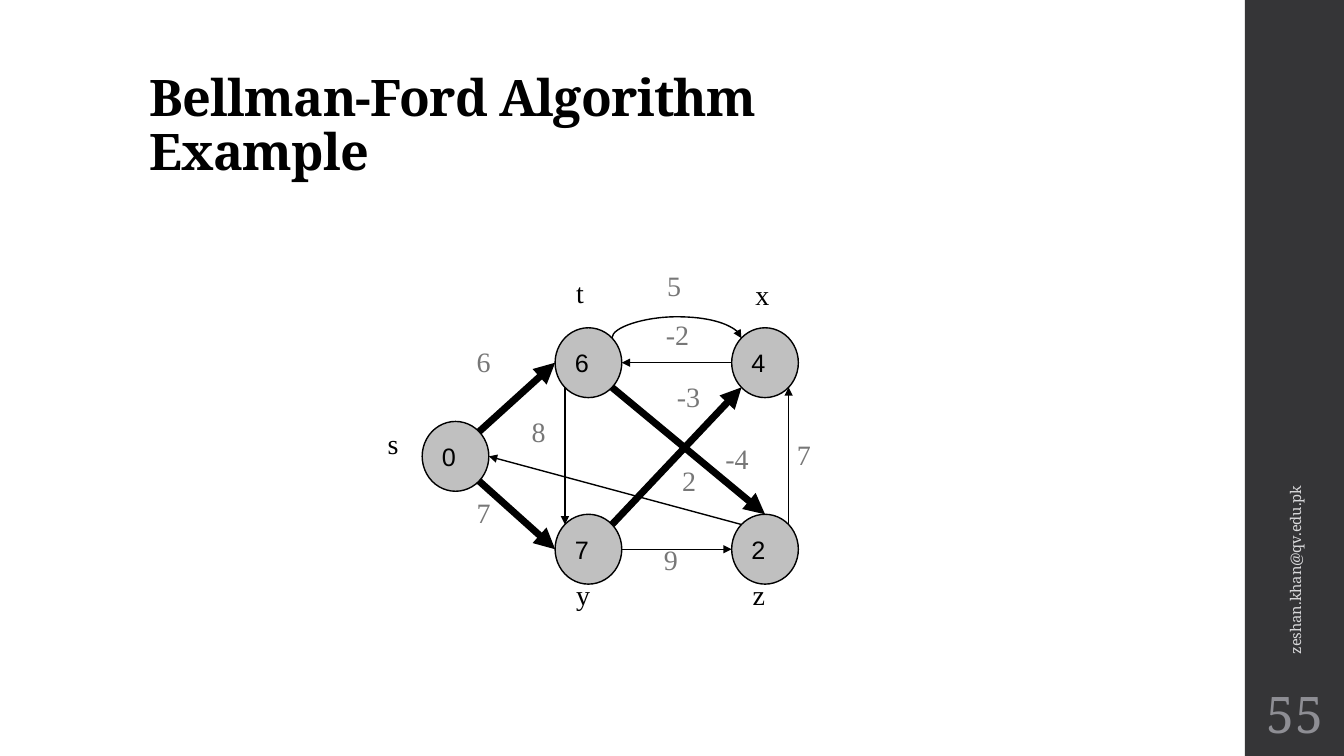
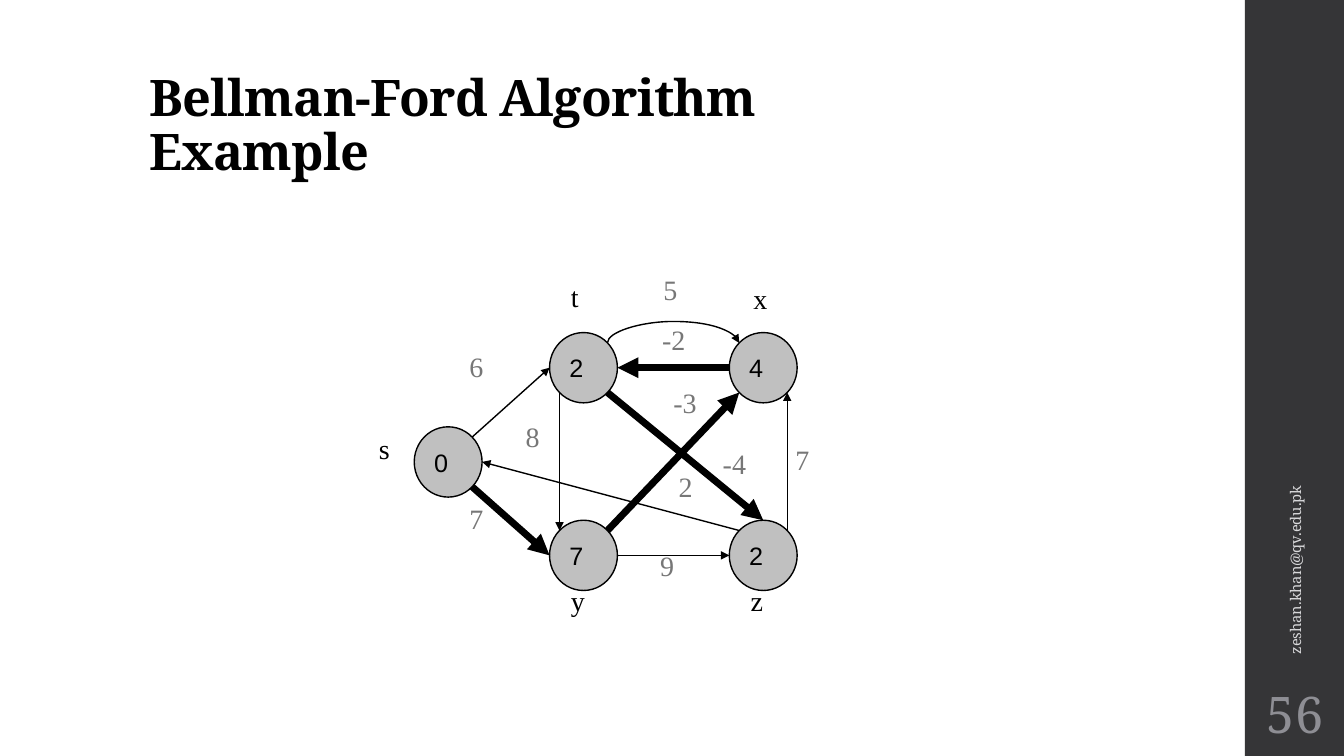
import math
from lxml import etree
from pptx import Presentation
from pptx.dml.color import RGBColor
from pptx.enum import shapes, text
from pptx.oxml.ns import qn
from pptx.util import Cm, Pt

SERIF, TIMES, SANS = "Noto Serif", "Times New Roman", "Arial"
BLACK, BAND, NODE, WEIGHT = "000000", "353537", "C0C0C0", "777777"
TITLE_STYLE = dict(name=SERIF, size=Pt(36), bold=True)
EMAIL_STYLE = dict(name=SERIF, size=Pt(10.5))
NUMBER_STYLE = dict(name=SERIF, size=Pt(36))
NODE_STYLE = dict(name=SANS, size=Pt(18))
LABEL_STYLE = dict(name=TIMES, size=Pt(20))

GRAPH_WIDTH, GRAPH_HEIGHT = 9.48, 6.46
NODE_WIDTH, NODE_HEIGHT = 1.68, 1.76
LABEL_HEIGHT = 1.09
THIN, THICK = 1, 5
CURVE_RISE, CURVE_DEPTH = 0.53, 0.01

NODES = {"t": (3.35, 0), "x": (7.8, 0), "y": (3.35, 4.7), "z": (7.8, 4.7), "s": (0, 2.36)}
ANGLES = {"E": 0, "SE": 45, "S": 90, "SW": 135, "W": 180, "NW": 225, "N": 270, "NE": 315}
EDGES = [
    ("t", "SW", "y", "NW"), ("y", "NE", "x", "SW"), ("z", "NE", "x", "SE"),
    ("y", "E", "z", "W"), ("z", "NW", "s", "E"), ("s", "SE", "y", "W"),
    ("s", "NE", "t", "W"), ("x", "W", "t", "E"), ("t", "SE", "z", "N"),
]
NAMES = [
    ("s", -1.12, 2.36, 1.12), ("z", 8.08, 6.17, 1.12), ("y", 3.63, 6.17, 1.12),
    ("x", 8.15, -1.4, 1.12), ("t", 3.63, -1.45, 1.12),
]
WEIGHTS = [
    ("6", 1.12, 0.3, 1.68), ("7", 1.12, 4.11, 1.68), ("8", 2.51, 2.06, 1.12),
    ("-3", 6.17, 1.19, 1.57), ("7", 9.19, 2.64, 1.12), ("2", 6.3, 3.3, 1.12),
    ("9", 5.84, 5.28, 1.12), ("-2", 5.89, -0.38, 1.68), ("-4", 7.39, 2.74, 1.57),
    ("5", 5.92, -1.63, 1.68),
]
STEPS = [
    dict(number="55", box=(10.64, 8.26, 9.48, 6.46),
         values=dict(t="6", x="4", y="7", z="2", s="0"), relaxed={"st", "sy", "yx", "tz"}),
    dict(number="56", box=(10.44, 8.38, 9.65, 6.5),
         values=dict(t="2", x="4", y="7", z="2", s="0"), relaxed={"xt", "sy", "yx", "tz"}),
]


def lengths(values):
    return [Cm(value) for value in values]


def paint(target, color):
    if hasattr(target, "solid"):
        target.solid()
        target = target.fore_color
    else:
        target = target.color
    target.rgb = RGBColor.from_string(color)


def write(shape, words, style, color, align=text.PP_ALIGN.LEFT, **frame_format):
    frame = shape.text_frame
    frame.text = words
    for name, value in {"word_wrap": True, **frame_format}.items():
        setattr(frame, name, value)
    para = frame.paragraphs[0]
    para.alignment = align
    for span in para.runs:
        for name, value in style.items():
            setattr(span.font, name, value)
        paint(span.font, color)
    return para


def draw_title(page, box):
    title = page.shapes.title
    title.left, title.top, title.width, title.height = lengths(box)
    para = write(title, "Bellman-Ford Algorithm\vExample", TITLE_STYLE, BLACK,
                 vertical_anchor=text.MSO_ANCHOR.BOTTOM, auto_size=text.MSO_AUTO_SIZE.NONE)
    para.line_spacing = 0.9
    for span in para.runs:
        span.font._element.set("spc", "-50")


def draw_band(page, layout, box):
    band = page.shapes.add_shape(shapes.MSO_SHAPE.RECTANGLE, *lengths(box))
    band.shadow.inherit = False
    paint(band.fill, BAND)
    band.line.fill.background()
    layout.shapes._spTree.append(band._element)


def draw_footer(page, box, number):
    left, top, width, height = box
    length, depth = 9.96, 1.02
    email = page.shapes.add_textbox(*lengths(
        (left + (width - length) / 2, top + 11.25, length, depth)))
    email.rotation = 270
    write(email, "zeshan.khan@qv.edu.pk", EMAIL_STYLE, "D9D9DB",
          vertical_anchor=text.MSO_ANCHOR.MIDDLE)
    counter = page.shapes.add_textbox(*lengths((left, top + 17.15, width, 1.65)))
    margins = {f"margin_{side}": Cm(0.13) for side in ("left", "top", "right", "bottom")}
    write(counter, number, NUMBER_STYLE, "8E8E94", text.PP_ALIGN.CENTER,
          vertical_anchor=text.MSO_ANCHOR.MIDDLE, **margins)


def draw_arrow(page, kind, start, end, weight):
    arrow = page.shapes.add_connector(kind, *lengths(start + end))
    paint(arrow.line, BLACK)
    arrow.line.width = Pt(weight)
    etree.SubElement(arrow.line._get_or_add_ln(), qn("a:tailEnd"), type="triangle")
    etree.SubElement(arrow._element.spPr, qn("a:effectLst"))
    return arrow


def draw_arc(page, start, end, rise):
    middle = (start[0] + end[0]) / 2
    half = (end[0] - start[0]) / 2
    arc = draw_arrow(page, shapes.MSO_CONNECTOR.CURVE,
                     (middle - CURVE_DEPTH / 2, start[1] + half),
                     (middle + CURVE_DEPTH / 2, start[1] - half), THIN)
    properties = arc._element.spPr
    properties.find(qn("a:xfrm")).set("rot", "5400000")
    geometry = properties.find(qn("a:prstGeom"))
    guides = geometry.find(qn("a:avLst"))
    if guides is None:
        guides = etree.SubElement(geometry, qn("a:avLst"))
    bend = round(-rise / CURVE_DEPTH * 100000)
    etree.SubElement(guides, qn("a:gd"), name="adj1", fmla=f"val {bend}")


def draw_graph(page, box, values, relaxed):
    left, top, width, height = box
    across, down = width / GRAPH_WIDTH, height / GRAPH_HEIGHT

    def place(x, y):
        return left + x * across, top + y * down

    def rim(name, side):
        x, y = NODES[name]
        angle = math.radians(ANGLES[side])
        return place(x + NODE_WIDTH / 2 * (1 + math.cos(angle)),
                     y + NODE_HEIGHT / 2 * (1 + math.sin(angle)))

    for name, corner in NODES.items():
        node = page.shapes.add_shape(shapes.MSO_SHAPE.OVAL, *lengths(
            place(*corner) + (NODE_WIDTH * across, NODE_HEIGHT * down)))
        node.shadow.inherit = False
        paint(node.fill, NODE)
        paint(node.line, BLACK)
        node.line.width = Pt(THIN)
        write(node, values[name], NODE_STYLE, BLACK, word_wrap=False,
              vertical_anchor=text.MSO_ANCHOR.MIDDLE)

    for source, leaving, target, entering in EDGES:
        weight = THICK if source + target in relaxed else THIN
        draw_arrow(page, shapes.MSO_CONNECTOR.STRAIGHT,
                   rim(source, leaving), rim(target, entering), weight)
    draw_arc(page, rim("t", "NE"), rim("x", "NW"), CURVE_RISE * down)

    for labels, color in ((NAMES, BLACK), (WEIGHTS, WEIGHT)):
        for words, x, y, span_width in labels:
            label = page.shapes.add_textbox(*lengths(
                place(x, y) + (span_width * across, LABEL_HEIGHT)))
            write(label, words, LABEL_STYLE, color)


deck = Presentation()
deck.slide_width, deck.slide_height = lengths((33.87, 19.05))
layout = deck.slide_layouts[5]
band_box = (31.37, 0, 2.54, 19.05)
for step in STEPS:
    page = deck.slides.add_slide(layout)
    if step is STEPS[0]:
        draw_band(page, layout, band_box)
    draw_title(page, (3.51, 1.02, 26.92, 3.68))
    draw_footer(page, band_box, step["number"])
    draw_graph(page, step["box"], step["values"], step["relaxed"])
deck.save("out.pptx")
